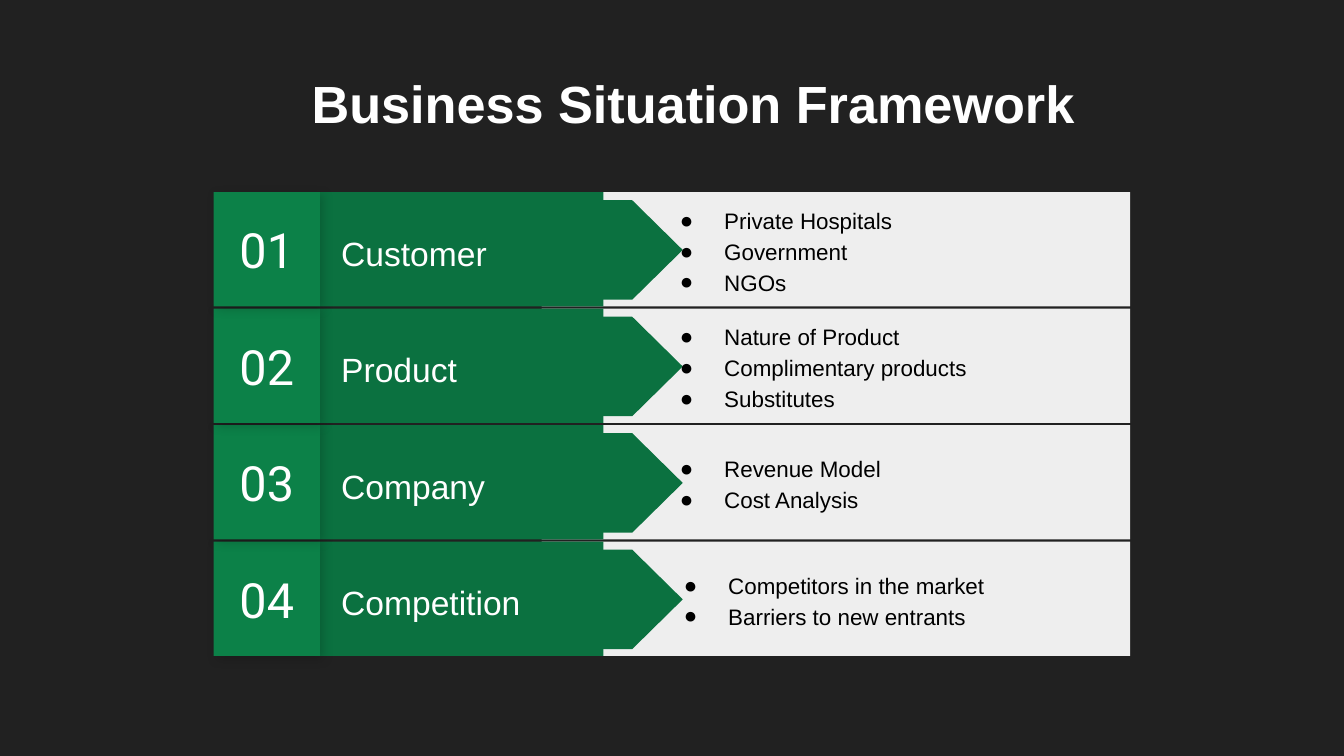
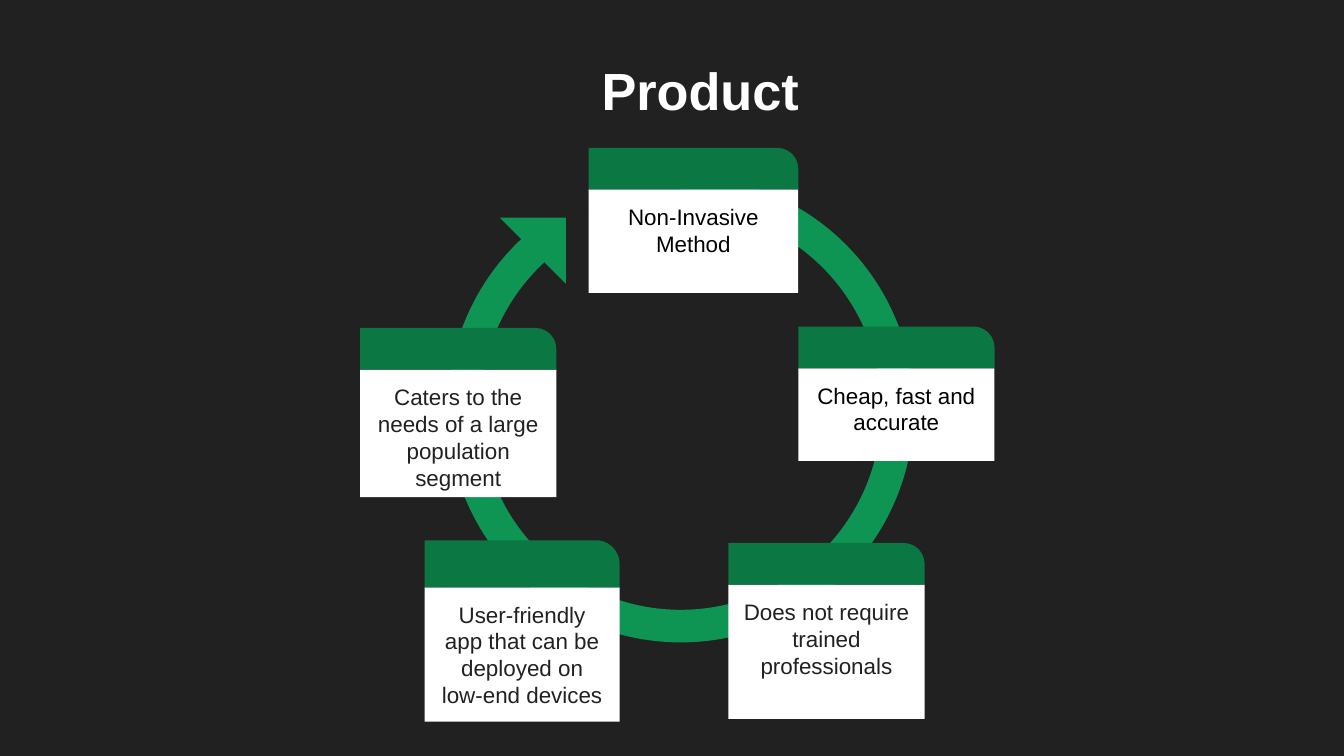
from typing import NamedTuple

from lxml import etree
from pptx import Presentation
from pptx.dml.color import RGBColor
from pptx.enum.shapes import MSO_SHAPE
from pptx.enum.text import MSO_ANCHOR, PP_ALIGN
from pptx.oxml.ns import qn
from pptx.util import Inches, Pt

DARK = "212121"
WHITE = "FFFFFF"
BLACK = "000000"
PANEL = "EEEEEE"
BAND_GREEN = "0B7140"
TILE_GREEN = "0C8148"
TAB_GREEN = "0B7743"
RING_GREEN = "0E9453"

ROW_TOP = 1.43
ROW_HEIGHT = 0.85
ROW_PITCH = 2.6 / 3


class FrameworkRow(NamedTuple):
    name: str
    points: tuple[str, ...]
    points_left: float = 4.79


class Card(NamedTuple):
    left: float
    top: float
    body_height: float
    text: str
    color: str = DARK
    width: float = 1.46
    tab_height: float = 0.31


FRAMEWORK_ROWS = (
    FrameworkRow("Customer", ("Private Hospitals", "Government", "NGOs")),
    FrameworkRow("Product", ("Nature of Product", "Complimentary products", "Substitutes")),
    FrameworkRow("Company", ("Revenue Model", "Cost Analysis")),
    FrameworkRow("Competition", ("Competitors in the market", "Barriers to new entrants"), 4.82),
)

PRODUCT_CARDS = (
    Card(4.38, 1.1, 0.77, "Non-Invasive Method", BLACK, width=1.56),
    Card(2.68, 2.44, 0.95, "Caters to the needs of a large population segment"),
    Card(5.42, 4.04, 1.0, "Does not require trained professionals"),
    Card(3.16, 4.02, 1.0, "User-friendly app that can be deployed on low-end devices",
         width=1.45, tab_height=0.35),
    Card(5.94, 2.43, 0.69, "Cheap, fast and accurate", BLACK),
)


def rgb(color: str) -> RGBColor:
    return RGBColor.from_string(color)


def add_block(slide, kind, left: float, top: float, width: float, height: float,
              color: str, rotation: float = 0):
    """Add a filled preset shape without outline or shadow."""
    shape = slide.shapes.add_shape(
        kind, Inches(left), Inches(top), Inches(width), Inches(height))
    shape.rotation = rotation
    shape.shadow.inherit = False
    shape.fill.solid()
    shape.fill.fore_color.rgb = rgb(color)
    shape.line.fill.background()
    return shape


def add_text_box(slide, left: float, top: float, width: float, height: float):
    return slide.shapes.add_textbox(
        Inches(left), Inches(top), Inches(width), Inches(height))


def write(shape, text: str, size: float, color: str, align=PP_ALIGN.LEFT,
          anchor=MSO_ANCHOR.TOP, font: str = "Arial", bold: bool = False,
          spacing: float | None = None) -> None:
    """Fill a shape with text, one paragraph per line."""
    frame = shape.text_frame
    frame.text = text
    frame.word_wrap = True
    frame.vertical_anchor = anchor
    frame.margin_left = frame.margin_right = Inches(0.1)
    frame.margin_top = frame.margin_bottom = Inches(0.1)
    for paragraph in frame.paragraphs:
        paragraph.alignment = align
        if spacing:
            paragraph.line_spacing = spacing
        for run in paragraph.runs:
            run.font.name = font
            run.font.size = Pt(size)
            run.font.bold = bold
            run.font.color.rgb = rgb(color)


def add_bullets(shape, color: str) -> None:
    for paragraph in shape.text_frame.paragraphs:
        properties = paragraph._p.get_or_add_pPr()
        properties.set("marL", str(Inches(0.5)))
        properties.set("indent", str(Inches(-0.33)))
        bullet_color = etree.SubElement(properties, qn("a:buClr"))
        etree.SubElement(bullet_color, qn("a:srgbClr"), val=color)
        etree.SubElement(properties, qn("a:buFont"), typeface="Arial")
        etree.SubElement(properties, qn("a:buChar"), char="●")


def add_soft_shadow(shape) -> None:
    effects = shape._element.spPr.find(qn("a:effectLst"))
    shadow = etree.SubElement(
        effects, qn("a:outerShdw"), blurRad=str(Pt(5.6)), dist=str(Pt(2.2)),
        dir=str(45 * 60000), algn="tl", rotWithShape="0")
    color = etree.SubElement(shadow, qn("a:srgbClr"), val=BLACK)
    etree.SubElement(color, qn("a:alpha"), val="17000")


def add_titled_slide(presentation, title: str, left: float, top: float,
                     width: float, height: float, align=PP_ALIGN.LEFT):
    slide = presentation.slides.add_slide(presentation.slide_layouts[6])
    slide.background.fill.solid()
    slide.background.fill.fore_color.rgb = rgb(DARK)
    write(add_text_box(slide, left, top, width, height), title, 28, WHITE, align, bold=True)
    return slide


def draw_framework_row(slide, index: int, row: FrameworkRow) -> None:
    top = ROW_TOP + index * ROW_PITCH
    add_block(slide, MSO_SHAPE.RECTANGLE, 4.03, top, 4.38, ROW_HEIGHT, PANEL)
    add_block(slide, MSO_SHAPE.RECTANGLE, 2.38, top, 2.11, ROW_HEIGHT, BAND_GREEN)
    add_block(slide, MSO_SHAPE.FLOWCHART_OFFPAGE_CONNECTOR, 3.77, top - 0.51,
              0.74, 1.88, BAND_GREEN, rotation=270)
    write(add_text_box(slide, 2.44, top + 0.1, 2.22, 0.66), row.name, 18, WHITE,
          anchor=MSO_ANCHOR.MIDDLE, spacing=1.15)
    tile = add_block(slide, MSO_SHAPE.RECTANGLE, 1.59, top, 0.79, ROW_HEIGHT, TILE_GREEN)
    add_soft_shadow(tile)
    write(tile, f"{index + 1:02}", 26, WHITE, PP_ALIGN.CENTER, MSO_ANCHOR.MIDDLE, "Roboto")
    points = add_text_box(slide, row.points_left, top, 3.41, ROW_HEIGHT)
    write(points, "\n".join(row.points), 12, BLACK, anchor=MSO_ANCHOR.MIDDLE, spacing=1.15)
    add_bullets(points, BLACK)


def draw_card(slide, card: Card) -> None:
    body = add_block(slide, MSO_SHAPE.RECTANGLE, card.left, card.top + card.tab_height,
                     card.width, card.body_height, WHITE)
    write(body, card.text, 12, card.color, PP_ALIGN.CENTER)
    tab = add_block(slide, MSO_SHAPE.ROUND_1_RECTANGLE, card.left, card.top,
                    card.width, card.tab_height, TAB_GREEN)
    tab.adjustments[0] = 0.5


def draw_cycle_arrow(slide) -> None:
    ring = add_block(slide, MSO_SHAPE.BLOCK_ARC, 3.33, 1.31, 3.47, 3.47, RING_GREEN, 180)
    for index, value in enumerate((54.0, 30.13, 0.07)):
        ring.adjustments[index] = value
    add_block(slide, MSO_SHAPE.RIGHT_TRIANGLE, 3.72, 1.62, 0.49, 0.49, RING_GREEN, 180)


def main() -> None:
    presentation = Presentation()
    presentation.slide_width = Inches(10)
    presentation.slide_height = Inches(10) * 9 // 16

    framework = add_titled_slide(
        presentation, "Business Situation Framework", 2.22, 0.43, 5.89, 0.52)
    # Lower rows first, so that each tile's shadow falls on the row below.
    for index, row in reversed(tuple(enumerate(FRAMEWORK_ROWS))):
        draw_framework_row(framework, index, row)

    product = add_titled_slide(
        presentation, "Product", 3.34, 0.33, 3.74, 0.69, PP_ALIGN.CENTER)
    draw_cycle_arrow(product)
    for card in PRODUCT_CARDS:
        draw_card(product, card)

    presentation.save("out.pptx")


if __name__ == "__main__":
    main()
